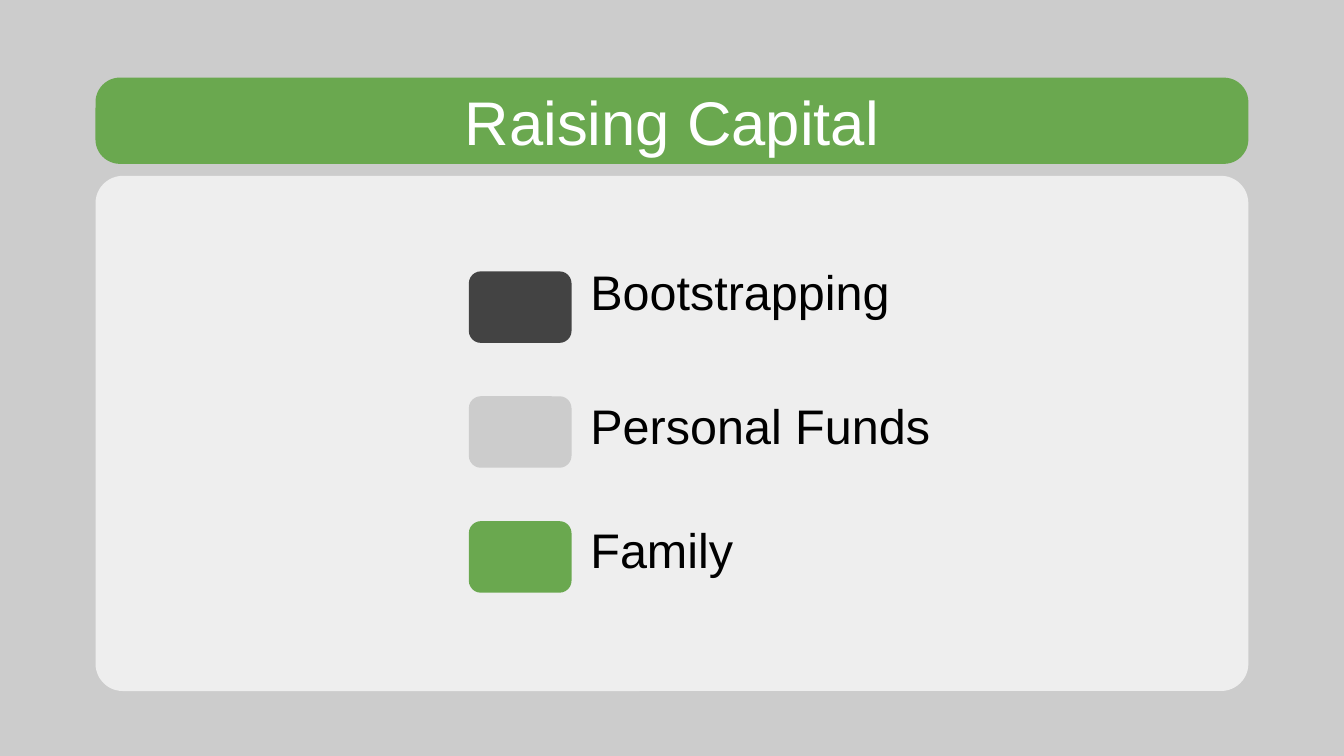
from dataclasses import dataclass

from pptx import Presentation
from pptx.dml.color import RGBColor
from pptx.enum.shapes import MSO_SHAPE
from pptx.enum.text import MSO_ANCHOR, MSO_AUTO_SIZE, PP_ALIGN
from pptx.slide import Slide
from pptx.text.text import TextFrame
from pptx.util import Pt

GREEN = RGBColor(0x6A, 0xA8, 0x4F)
DARK = RGBColor(0x43, 0x43, 0x43)
GRAY = RGBColor(0xCC, 0xCC, 0xCC)
LIGHT = RGBColor(0xEE, 0xEE, 0xEE)
WHITE = RGBColor(0xFF, 0xFF, 0xFF)
BLACK = RGBColor(0x00, 0x00, 0x00)

FONT = "Arial"
INSET = 7.2
SWATCH_TOP = 145.4
SWATCH_STEP = 66.9


@dataclass(frozen=True)
class Box:
    left: float
    top: float
    width: float
    height: float

    def lengths(self) -> tuple[Pt, Pt, Pt, Pt]:
        return Pt(self.left), Pt(self.top), Pt(self.width), Pt(self.height)


@dataclass(frozen=True)
class Source:
    label: str
    color: RGBColor
    label_top: float


SOURCES = [
    Source("Bootstrapping", DARK, 141.8),
    Source("Personal Funds", GRAY, 213.8),
    Source("Family", GREEN, 280.4),
]


def add_round_rect(s: Slide, box: Box, color: RGBColor, adj: float) -> None:
    sp = s.shapes.add_shape(MSO_SHAPE.ROUNDED_RECTANGLE, *box.lengths())
    sp.adjustments[0] = adj
    sp.shadow.inherit = False
    sp.fill.solid()
    sp.fill.fore_color.rgb = color
    sp.line.fill.background()


def write(tf: TextFrame, text: str, size: float, color: RGBColor,
          align: PP_ALIGN, anchor: MSO_ANCHOR) -> None:
    tf.word_wrap = True
    tf.auto_size = MSO_AUTO_SIZE.NONE
    tf.vertical_anchor = anchor
    tf.margin_left = tf.margin_right = Pt(INSET)
    tf.margin_top = tf.margin_bottom = Pt(INSET)
    p = tf.paragraphs[0]
    p.text = text
    p.alignment = align
    p.font.name = FONT
    p.font.size = Pt(size)
    p.font.color.rgb = color


def add_title(s: Slide, text: str, box: Box) -> None:
    sp = s.shapes.title
    sp.left, sp.top, sp.width, sp.height = box.lengths()
    write(sp.text_frame, text, 33, WHITE, PP_ALIGN.CENTER, MSO_ANCHOR.MIDDLE)
    sp.element.getparent().append(sp.element)


def add_source(s: Slide, source: Source, swatch_top: float) -> None:
    add_round_rect(s, Box(251.2, swatch_top, 55, 38.3), source.color, 0.167)
    box = Box(309.2, source.label_top, 200, 36.7)
    sp = s.shapes.add_textbox(*box.lengths())
    write(sp.text_frame, source.label, 26, BLACK, PP_ALIGN.LEFT, MSO_ANCHOR.BOTTOM)


def main() -> None:
    prs = Presentation()
    prs.slide_width, prs.slide_height = Pt(720), Pt(405)
    s = prs.slides.add_slide(prs.slide_layouts[5])
    s.background.fill.solid()
    s.background.fill.fore_color.rgb = GRAY

    add_round_rect(s, Box(51.2, 94.2, 617.6, 276), LIGHT, 0.053)
    add_round_rect(s, Box(51.2, 41.6, 617.6, 46.2), GREEN, 0.284)
    add_title(s, "Raising Capital", Box(98.4, 45.4, 523.2, 38.2))
    for i, source in enumerate(SOURCES):
        add_source(s, source, SWATCH_TOP + i * SWATCH_STEP)

    prs.save("out.pptx")


if __name__ == "__main__":
    main()
